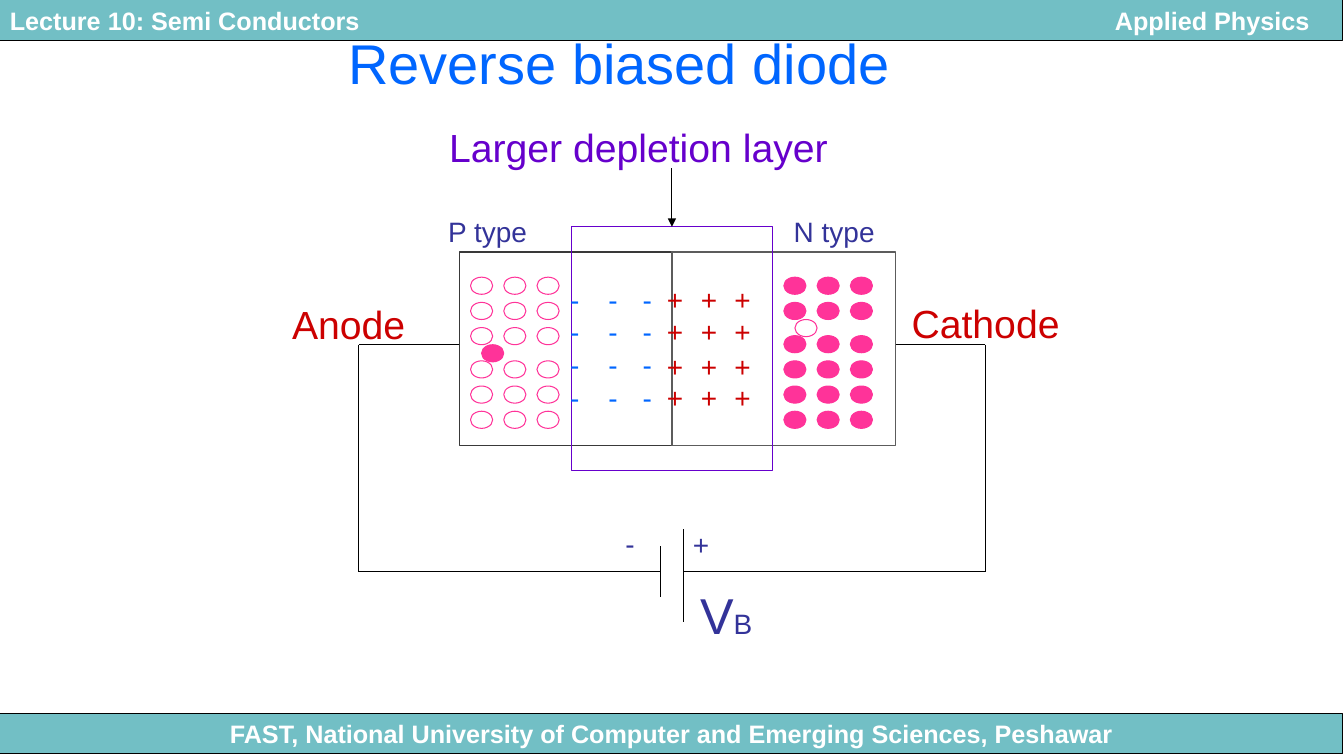
from dataclasses import dataclass
from itertools import product

from lxml.etree import SubElement
from pptx import Presentation
from pptx.dml.color import RGBColor
from pptx.enum.shapes import MSO_CONNECTOR, MSO_SHAPE
from pptx.enum.text import MSO_ANCHOR, MSO_AUTO_SIZE, PP_ALIGN
from pptx.oxml.ns import qn
from pptx.util import Pt


@dataclass(frozen=True)
class Theme:
    font: str = "Arial"
    band: str = "72BFC5"
    white: str = "FFFFFF"
    black: str = "000000"
    blue: str = "0066FF"
    navy: str = "333399"
    purple: str = "6600CC"
    red: str = "CC0000"
    orange: str = "FF3300"
    pink: str = "FF3399"
    title: int = 40
    symbol: int = 36
    label: int = 28
    small: int = 20
    band_text: int = 18
    line: float = 0.75


T = Theme()
PX = 9144
WIDTH, HEIGHT = 1334, 750

BANDS = [
    (708, "FAST, National University of Computer and Emerging Sciences, Peshawar", PP_ALIGN.CENTER),
    (0, "Lecture 10: Semi Conductors\tApplied Physics", PP_ALIGN.LEFT),
]
HEADER_TAB = 1290

REGIONS = [
    ((456, 250, 211, 192), T.navy, True),
    ((667, 250, 222, 192), T.orange, True),
    ((567, 225, 200, 242), T.purple, False),
]
LABELS = [
    ((336, 23, 557, 77), [("Reverse biased diode", T.title)], T.blue),
    ((436, 117, 406, 57), [("Larger depletion layer", T.label)], T.purple),
    ((435, 208, 100, 44), [("P type", T.small)], T.navy),
    ((778, 208, 102, 44), [("N type", T.small)], T.navy),
    ((280, 293, 132, 57), [("Anode", T.label)], T.red),
    ((895, 292, 167, 57), [("Cathode", T.label)], T.red),
    ((678, 518, 36, 44), [("+", T.small)], T.navy),
    ((611, 517, 29, 44), [("-", T.small)], T.navy),
    ((685, 575, 72, 70), [("V", T.symbol), ("B", T.small)], T.navy),
]
WIRES = [
    (456, 342, 356, 342),
    (356, 342, 356, 567),
    (356, 567, 656, 567),
    (889, 342, 978, 342),
    (978, 342, 978, 567),
    (678, 567, 978, 567),
    (656, 542, 656, 592),
    (678, 525, 678, 617),
]
POINTER = (667, 167, 667, 225)

IONS = [
    ("+", 36, T.red, (652, 686, 719), (275, 307, 342, 373)),
    ("-", 29, T.blue, (556, 594, 628), (275, 307, 340, 373)),
]
CARRIER_W, CARRIER_H = 22, 17
CARRIERS = [
    (False, (467, 500, 533), (275, 300, 325, 358, 383, 408)),
    (True, (478,), (342,)),
    (True, (778, 811, 844), (275, 300, 333, 358, 383, 408)),
    (False, (789,), (317,)),
]


def rgb(value):
    return RGBColor.from_string(value)


def emu(*lengths):
    return [n * PX for n in lengths]


def add_runs(p, runs, color, bold=False):
    for text, size in runs:
        r = p.add_run()
        r.text = text
        r.font.name = T.font
        r.font.size = Pt(size)
        r.font.bold = bold
        r.font.color.rgb = rgb(color)


def add_outline(s, kind, box, line, fill=None):
    sp = s.shapes.add_shape(kind, *emu(*box))
    sp.shadow.inherit = False
    if fill:
        sp.fill.solid()
        sp.fill.fore_color.rgb = rgb(fill)
    else:
        sp.fill.background()
    sp.line.color.rgb = rgb(line)
    sp.line.width = Pt(T.line)
    return sp


def add_band(s, top, text, align):
    sp = add_outline(s, MSO_SHAPE.RECTANGLE, (0, top, 1333, 40), T.black, T.band)
    tf = sp.text_frame
    tf.word_wrap = True
    tf.vertical_anchor = MSO_ANCHOR.MIDDLE
    p = tf.paragraphs[0]
    p.alignment = align
    if "\t" in text:
        tabs = SubElement(p._p.get_or_add_pPr(), qn("a:tabLst"))
        SubElement(tabs, qn("a:tab"), pos=str(HEADER_TAB * PX), algn="r")
    add_runs(p, [(text, T.band_text)], T.white, True)


def add_label(s, box, runs, color):
    tf = s.shapes.add_textbox(*emu(*box)).text_frame
    tf.word_wrap = False
    tf.auto_size = MSO_AUTO_SIZE.SHAPE_TO_FIT_TEXT
    add_runs(tf.paragraphs[0], runs, color)


def add_wire(s, ends, arrow=False):
    c = s.shapes.add_connector(MSO_CONNECTOR.STRAIGHT, *emu(*ends))
    c.line.color.rgb = rgb(T.black)
    c.line.width = Pt(T.line)
    if arrow:
        SubElement(c.line._get_or_add_ln(), qn("a:tailEnd"), type="triangle")
    SubElement(c._element.spPr, qn("a:effectLst"))


def main():
    prs = Presentation()
    prs.slide_width, prs.slide_height = emu(WIDTH, HEIGHT)
    s = prs.slides.add_slide(prs.slide_layouts[6])

    for band in BANDS:
        add_band(s, *band)
    for box, color, gray in REGIONS:
        sp = add_outline(s, MSO_SHAPE.RECTANGLE, box, color)
        if gray:
            SubElement(sp._element.spPr.find(".//" + qn("a:srgbClr")), qn("a:gray"))
    for ends in WIRES:
        add_wire(s, ends)
    for sign, width, color, columns, rows in IONS:
        for x, y in product(columns, rows):
            add_label(s, (x, y, width, 44), [(sign, T.small)], color)
    for label in LABELS:
        add_label(s, *label)
    add_wire(s, POINTER, arrow=True)
    for filled, columns, rows in CARRIERS:
        for y, x in product(rows, columns):
            box = (x, y, CARRIER_W, CARRIER_H)
            add_outline(s, MSO_SHAPE.OVAL, box, T.pink, T.pink if filled else None)

    prs.save("out.pptx")


if __name__ == "__main__":
    main()
